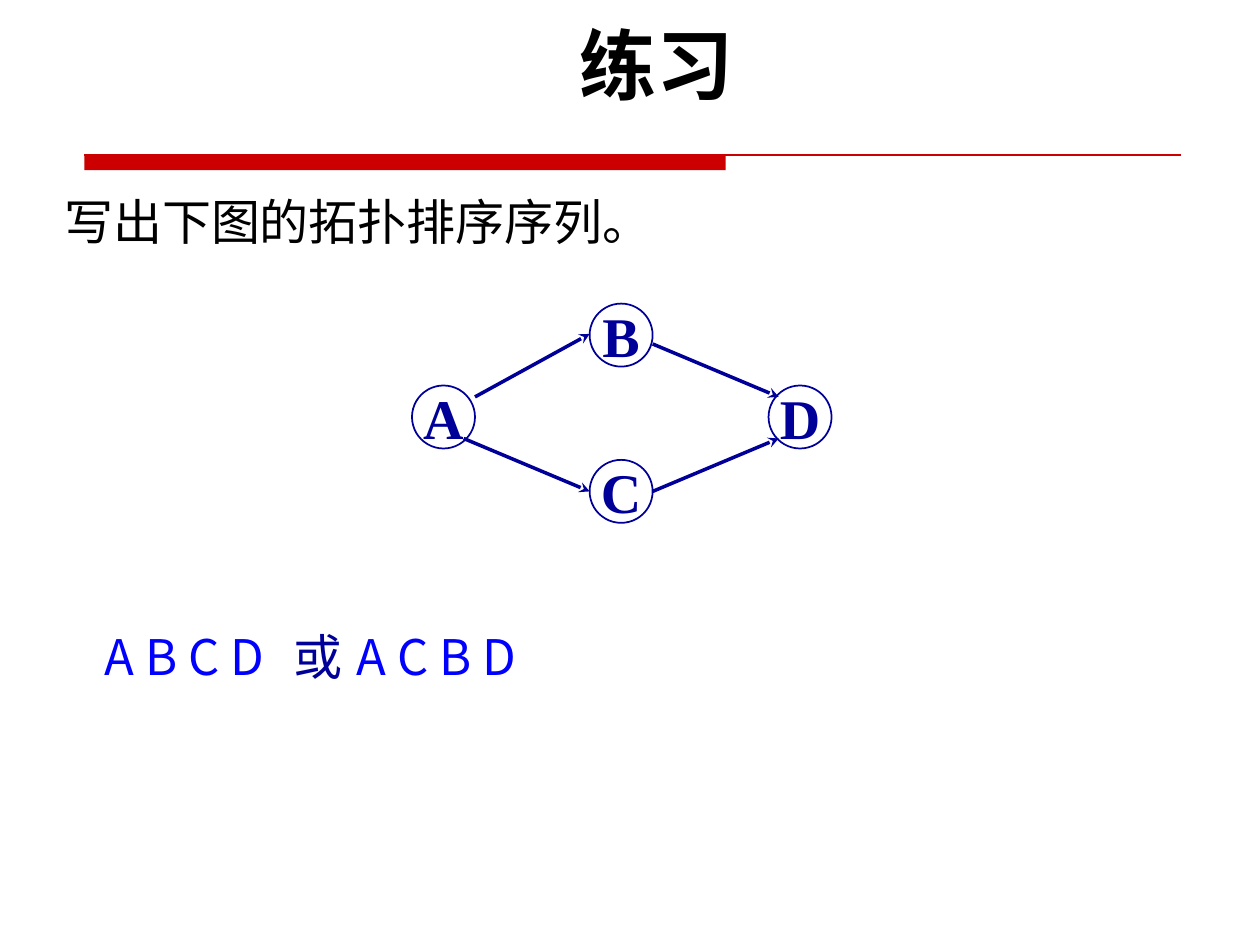
from lxml import etree
from pptx import Presentation
from pptx.dml.color import RGBColor
from pptx.enum import shapes, text
from pptx.oxml import ns
from pptx.util import Inches, Pt

BLACK = RGBColor(0x00, 0x00, 0x00)
RED = RGBColor(0xCC, 0x00, 0x00)
NAVY = RGBColor(0x00, 0x00, 0x99)
BLUE = RGBColor(0x00, 0x00, 0xFF)
SANS = "Noto Sans CJK SC"
NODE_SIZE = 0.5


def set_values(target, values):
    """Set each named attribute of the target."""
    for name, value in values.items():
        setattr(target, name, value)


def place(shape, box):
    """Move and size a shape to a box in inches."""
    names = ("left", "top", "width", "height")
    set_values(shape, dict(zip(names, map(Inches, box))))


def add_run(paragraph, words, color, **font_values):
    """Add a run with the same Latin and East Asian typeface."""
    run = paragraph.add_run()
    run.text = words
    set_values(run.font, font_values)
    run.font.color.rgb = color
    east_asian = etree.SubElement(run.font._element, ns.qn("a:ea"))
    east_asian.set("typeface", font_values["name"])


def add_line(slide, start, end, color, width, arrow=False):
    """Draw a straight line, with a stealth arrowhead if asked."""
    line = slide.shapes.add_connector(
        shapes.MSO_CONNECTOR.STRAIGHT, *map(Inches, start + end))
    line.line.color.rgb = color
    line.line.width = Pt(width)
    if arrow:
        head = etree.SubElement(line.line._get_or_add_ln(), ns.qn("a:tailEnd"))
        head.set("type", "stealth")
    etree.SubElement(line._element.spPr, ns.qn("a:effectLst"))


def add_rule(slide, box):
    """Draw the thick red bar and the thin line that extends it."""
    left, top, width, height = box
    bar = slide.shapes.add_shape(shapes.MSO_SHAPE.RECTANGLE, 0, 0, 0, 0)
    place(bar, (left, top, 5.09, height))
    bar.shadow.inherit = False
    bar.fill.solid()
    bar.fill.fore_color.rgb = RED
    bar.line.fill.background()
    add_line(slide, (left, top), (left + width, top), RED, 0.75)


def add_title(slide, box):
    """Fill the title placeholder."""
    title = slide.shapes.title
    place(title, box)
    set_values(title.text_frame, {
        "vertical_anchor": text.MSO_ANCHOR.TOP,
        "auto_size": text.MSO_AUTO_SIZE.NONE, "word_wrap": True})
    paragraph = title.text_frame.paragraphs[0]
    set_values(paragraph, {"alignment": text.PP_ALIGN.CENTER, "line_spacing": 0.9})
    add_run(paragraph, "练习", BLACK, name="Lato", size=Pt(44), bold=True)


def add_statement(shape, box, indent, runs, tabs=()):
    """Write one indented line at the bottom of a text shape."""
    place(shape, box)
    set_values(shape.text_frame, {
        "vertical_anchor": text.MSO_ANCHOR.BOTTOM,
        "auto_size": text.MSO_AUTO_SIZE.NONE, "word_wrap": True})
    paragraph = shape.text_frame.paragraphs[0]
    set_values(paragraph, {"space_before": Pt(0), "line_spacing": 1.0})
    properties = paragraph._element.get_or_add_pPr()
    properties.set("marL", str(Inches(indent)))
    properties.set("indent", "0")
    etree.SubElement(properties, ns.qn("a:buNone"))
    if tabs:
        tab_list = etree.SubElement(properties, ns.qn("a:tabLst"))
        for position in tabs:
            etree.SubElement(tab_list, ns.qn("a:tab"),
                             pos=str(Inches(position)), algn="l")
    for words, color in runs:
        add_run(paragraph, words, color, name=SANS, size=Pt(28), bold=False)


def add_node(slide, label, left, top):
    """Draw one labelled circle of the graph."""
    node = slide.shapes.add_shape(shapes.MSO_SHAPE.OVAL, 0, 0, 0, 0)
    place(node, (left, top, NODE_SIZE, NODE_SIZE))
    node.shadow.inherit = False
    node.fill.background()
    node.line.color.rgb = NAVY
    node.line.width = Pt(1)
    margins = ("margin_left", "margin_top", "margin_right", "margin_bottom")
    set_values(node.text_frame, {
        **dict.fromkeys(margins, 0), "word_wrap": False,
        "vertical_anchor": text.MSO_ANCHOR.MIDDLE})
    paragraph = node.text_frame.paragraphs[0]
    paragraph.alignment = text.PP_ALIGN.CENTER
    add_run(paragraph, label, NAVY, name="Times New Roman", size=Pt(32), bold=True)


def add_graph(slide, left, top):
    """Draw the directed graph from its top left corner."""
    nodes = {"B": (1.41, 0), "D": (2.83, 0.65), "A": (0, 0.65), "C": (1.41, 1.24)}
    edges = [((0.5, 0.74), (1.41, 0.24)), ((0.41, 1.07), (1.41, 1.49)),
             ((1.91, 0.32), (2.91, 0.74)), ((1.91, 1.49), (2.91, 1.07))]
    for label, (x, y) in nodes.items():
        add_node(slide, label, left + x, top + y)
    for ends in edges:
        start, end = ((left + x, top + y) for x, y in ends)
        add_line(slide, start, end, NAVY, 2, arrow=True)


def build_exercise_slide(presentation):
    """Build the topological sorting exercise."""
    slide = presentation.slides.add_slide(presentation.slide_layouts[1])
    add_rule(slide, (0.67, 1.23, 8.7, 0.12))
    add_title(slide, (0.67, 0.17, 9.08, 0.83))
    add_statement(slide.placeholders[1], (0.31, 1.41, 8.98, 0.63), 0.1,
                  [("写出下图的拓扑排序序列。", BLACK)])
    add_graph(slide, 3.27, 2.41)
    answer = slide.shapes.add_textbox(0, 0, 0, 0)
    add_statement(answer, (0.31, 4.72, 9, 0.77), 0.42,
                  [("A B C D\t", BLUE), ("或\t", NAVY), ("A C B D", BLUE)],
                  tabs=(2.12, 2.95))


presentation = Presentation()
presentation.slide_width = Inches(10)
presentation.slide_height = Inches(7.5)
build_exercise_slide(presentation)
presentation.save("out.pptx")
